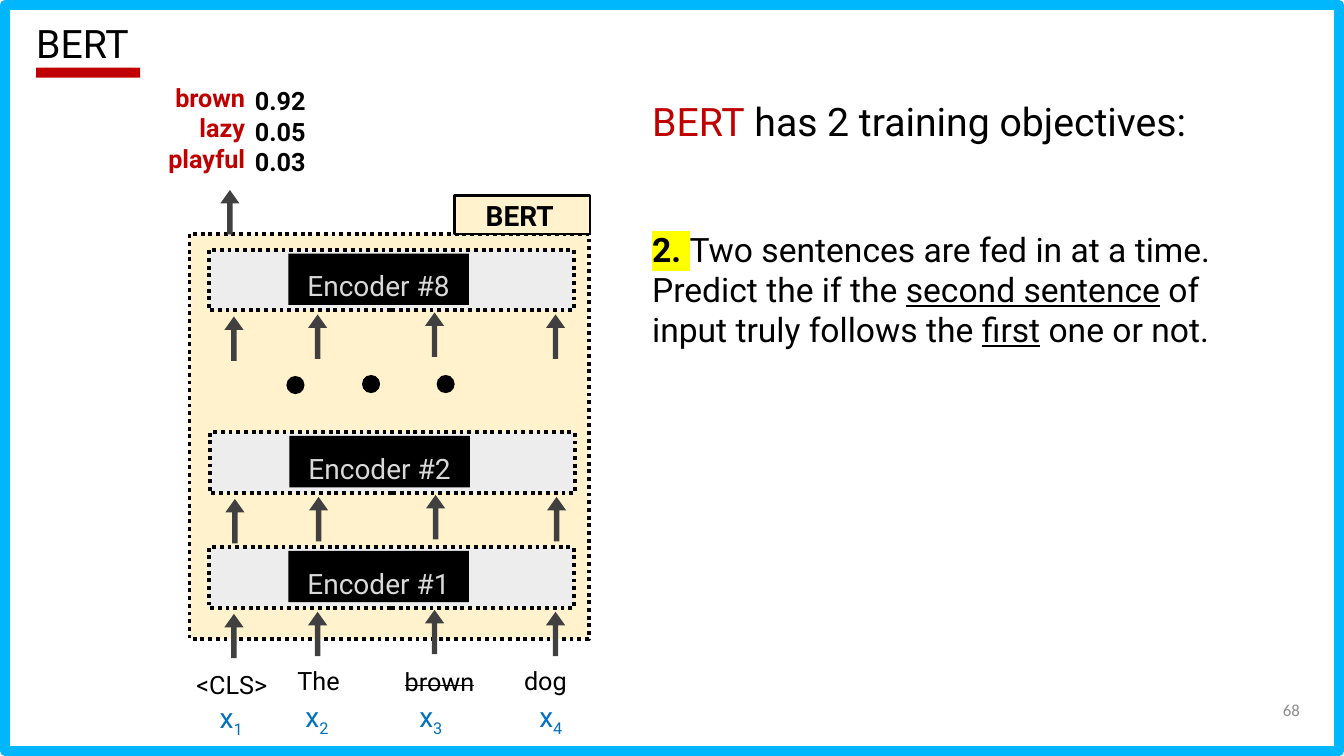
from dataclasses import dataclass
from lxml.etree import Element
from pptx import Presentation
from pptx.dml.color import RGBColor
from pptx.enum.dml import MSO_LINE
from pptx.enum.shapes import MSO_SHAPE
from pptx.enum.text import MSO_ANCHOR, PP_ALIGN
from pptx.oxml.ns import qn
from pptx.util import Inches, Pt


@dataclass(frozen=True)
class Theme:
    font: str = "Roboto"
    number_font: str = "Calibri"
    black: str = "000000"
    white: str = "FFFFFF"
    frame: str = "00B6FC"
    red: str = "C00000"
    blue: str = "0070C0"
    cream: str = "FFF2CC"
    pale: str = "EDEDED"
    silver: str = "D9D9D9"
    arrow: str = "404040"
    number: str = "8C8C8C"
    marker: str = "FFFF00"
    heading: int = 28
    body: int = 24
    label: int = 20
    token: int = 18
    small: int = 12


THEME = Theme()
CELL = Inches(0.1)
COLUMNS, ROWS = 133.3, 75

TITLE = "BERT"
PREDICTIONS = [("brown", "0.92"), ("lazy", "0.05"), ("playful", "0.03")]
OBJECTIVES = [("BERT", {"color": THEME.red}), (" has 2 training objectives:", {})]
SECOND_OBJECTIVE = [
    ("2. ", {"bold": True, "highlight": THEME.marker}),
    ("Two sentences are fed in at a time. Predict the if the ", {}),
    ("second sentence", {"underline": True}),
    (" of input truly follows the ", {}),
    ("first", {"underline": True}),
    (" one or not.", {}),
]
ENCODERS = [("Encoder #1", 20.7, 54.3), ("Encoder #2", 20.8, 42.9), ("Encoder #8", 20.7, 24.8)]
ARROW_OFFSETS = [(2.5, 8.8), (10.8, 8.6), (22.4, 8.4), (34.4, 8.6)]
TOKENS = [
    ("<CLS>", (16.9, 65.3, 10.6, 5.5), PP_ALIGN.RIGHT, False),
    ("The", (24.8, 64.9, 13.6, 5.5), PP_ALIGN.CENTER, False),
    ("brown", (36.8, 65, 13.6, 5.5), PP_ALIGN.CENTER, True),
    ("dog", (47.3, 64.9, 13.6, 5.5), PP_ALIGN.CENTER, False),
]
INPUT_PLACES = [(20.8, 69), (29.3, 68.9), (40.6, 68.9), (52.5, 68.9)]
DOTS = [(28.4, 37.3), (35.9, 37.2), (43.3, 37.2)]
PAGE = "68"

presentation = Presentation()
presentation.slide_width = round(COLUMNS * CELL)
presentation.slide_height = ROWS * CELL
slide = presentation.slides.add_slide(presentation.slide_layouts[6])


def place(box):
    return [round(length * CELL) for length in box]


def add_block(box, fill, line=None, width=2.75, dash=None, kind=MSO_SHAPE.RECTANGLE):
    shape = slide.shapes.add_shape(kind, *place(box))
    shape.shadow.inherit = False
    shape.fill.solid()
    shape.fill.fore_color.rgb = RGBColor.from_string(fill)
    if line:
        shape.line.color.rgb = RGBColor.from_string(line)
        shape.line.width = Pt(width)
        if dash:
            shape.line.dash_style = dash
    else:
        shape.line.fill.background()
    return shape


def add_arrow(center_x, center_y, length=4.4, thickness=1.9):
    box = (center_x - length / 2, center_y - thickness / 2, length, thickness)
    arrow = add_block(box, THEME.arrow, kind=MSO_SHAPE.RIGHT_ARROW)
    arrow.adjustments[0], arrow.adjustments[1] = 0.28, 0.7
    arrow.rotation = 270


def style_run(run, size, font, color, bold=False, underline=False,
              strike=False, highlight=None, baseline=None):
    run.font.size = Pt(size)
    run.font.name = font
    run.font.bold = bold
    run.font.underline = underline
    run.font.color.rgb = RGBColor.from_string(color)
    properties = run.font._element
    if strike:
        properties.set("strike", "sngStrike")
    if baseline:
        properties.set("baseline", str(baseline * 1000))
    if highlight:
        marker = Element(qn("a:highlight"))
        marker.append(Element(qn("a:srgbClr"), val=highlight))
        properties.find(qn("a:solidFill")).addnext(marker)


def add_text(box, paragraphs, size, color=THEME.black, font=THEME.font, align=PP_ALIGN.LEFT,
             anchor=MSO_ANCHOR.TOP, spacing=None, **run_format):
    frame = slide.shapes.add_textbox(*place(box)).text_frame
    frame.word_wrap = True
    frame.vertical_anchor = anchor
    if isinstance(paragraphs, str):
        paragraphs = [[(paragraphs, {})]]
    for index, runs in enumerate(paragraphs):
        paragraph = frame.add_paragraph() if index else frame.paragraphs[0]
        paragraph.alignment = align
        if spacing:
            paragraph.line_spacing = spacing
        for words, changes in runs:
            run = paragraph.add_run()
            run.text = words
            style_run(run, **{"size": size, "font": font, "color": color, **run_format, **changes})


def add_encoder(name, left, top):
    add_block((left, top, 36.2, 6), THEME.pale, THEME.black, dash=MSO_LINE.ROUND_DOT)
    add_block((left + 7.9, top + 0.35, 17.9, 5.1), THEME.black)
    add_text((left + 7.9, top + 0.7, 17.9, 3.9), name, THEME.label, THEME.silver,
             align=PP_ALIGN.CENTER, spacing=1.2)
    for across, down in ARROW_OFFSETS:
        add_arrow(left + across, top + down)


def add_model():
    add_block((18.8, 23.2, 39.6, 40.2), THEME.cream, THEME.black, dash=MSO_LINE.ROUND_DOT)
    for encoder in ENCODERS:
        add_encoder(*encoder)
    for left, top in DOTS:
        add_block((left, top, 1.8, 1.8), THEME.black, kind=MSO_SHAPE.OVAL)
    add_block((45.1, 19.4, 13.4, 3.8), THEME.cream, THEME.black, width=1.75)
    add_text((45.1, 19.1, 12.9, 3.9), TITLE, THEME.label, align=PP_ALIGN.CENTER,
             anchor=MSO_ANCHOR.MIDDLE, spacing=1.2, bold=True)
    add_arrow(22.8, 21.05)


def add_inputs():
    for word, box, align, strike in TOKENS:
        add_text(box, word, THEME.token, align=align, spacing=1.2, strike=strike)
    for index, (left, top) in enumerate(INPUT_PLACES, start=1):
        add_text((left, top, 4.5, 4.4), [[("x", {}), (str(index), {"baseline": -25})]],
                 THEME.label, THEME.blue)


def add_predictions():
    words, scores = ([[(entry, {})] for entry in column] for column in zip(*PREDICTIONS))
    add_text((11.7, 7.7, 13.6, 10), words, THEME.token, THEME.red, align=PP_ALIGN.RIGHT, bold=True)
    add_text((24.3, 8, 10.7, 10), scores, THEME.token, bold=True)


def main():
    add_block((0.5, 0.5, COLUMNS - 1, ROWS - 1), THEME.white, THEME.frame, width=7)
    add_model()
    add_inputs()
    add_predictions()
    add_block((3.6, 6.7, 10.3, 1), THEME.red)
    add_text((2.6, 1.9, 21.8, 6.8), TITLE, THEME.heading, spacing=0.9)
    add_text((63.7, 9.2, 64.6, 5.7), [OBJECTIVES], THEME.heading)
    add_text((63.7, 22.2, 61, 21.4), [SECOND_OBJECTIVE], THEME.body)
    add_text((99.9, 68.4, 30, 4), PAGE, THEME.small, THEME.number, THEME.number_font,
             align=PP_ALIGN.RIGHT, anchor=MSO_ANCHOR.MIDDLE)
    presentation.save("out.pptx")


if __name__ == "__main__":
    main()
